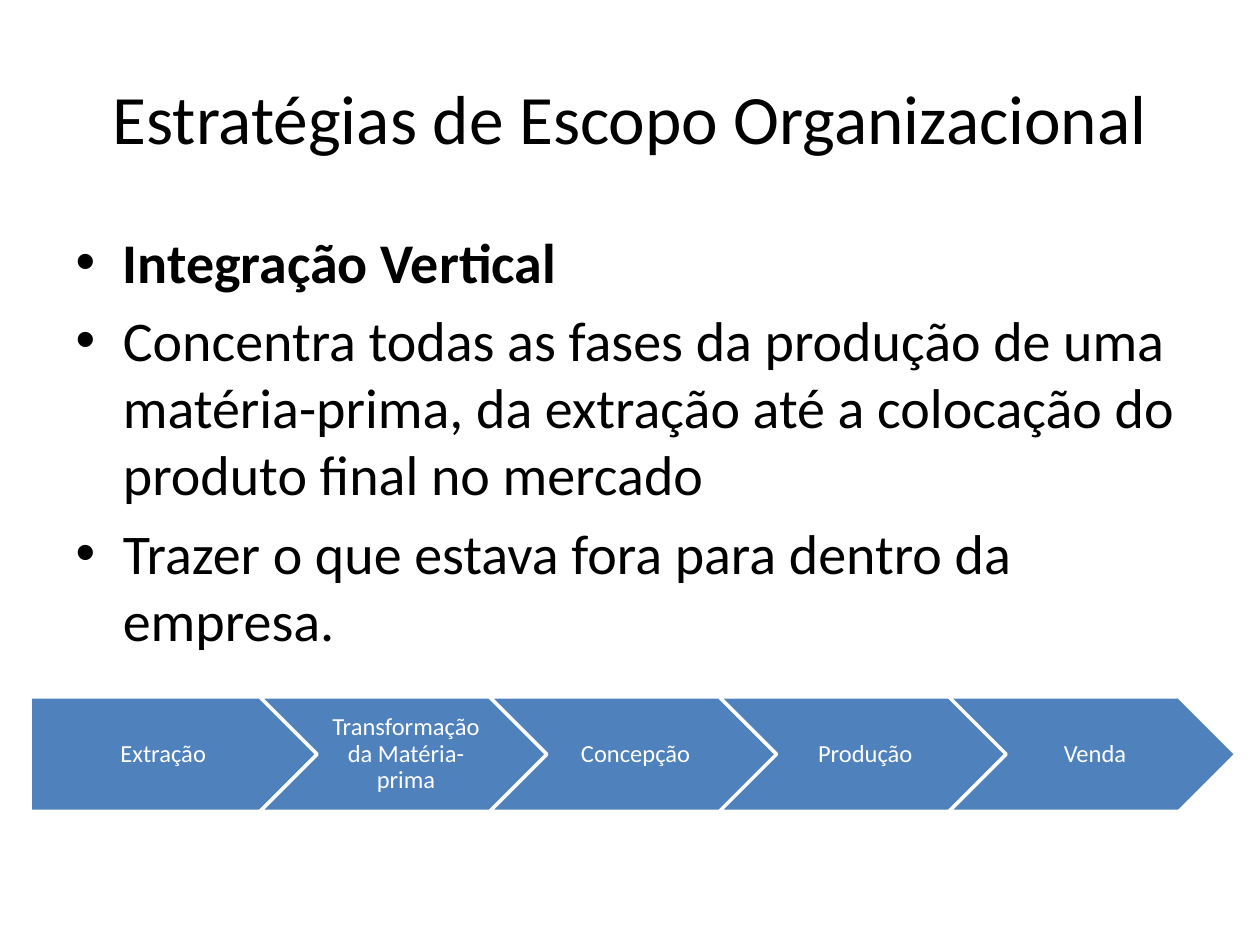
from dataclasses import dataclass

from pptx import Presentation
from pptx.dml.color import RGBColor
from pptx.enum.shapes import MSO_SHAPE
from pptx.enum.text import MSO_ANCHOR, MSO_AUTO_SIZE, PP_ALIGN
from pptx.shapes.group import GroupShape
from pptx.shapes.placeholder import SlidePlaceholder
from pptx.text.text import TextFrame
from pptx.util import Cm, Pt

COLORS = {"text": "000000", "step": "4F81BD", "light": "FFFFFF"}
FONT = "Calibri"

STEP_LEFT, STEP_TOP = 0.61, 14.05
STEP_WIDTH, STEP_HEIGHT = 5.79, 2.31
STEP_PITCH = 4.63


@dataclass(frozen=True)
class Step:
    label: str
    outline: MSO_SHAPE = MSO_SHAPE.CHEVRON
    left_inset: float = 0.15


STEPS = [
    Step("Extração", MSO_SHAPE.PENTAGON, 0.2),
    Step("Transformação da Matéria-prima"),
    Step("Concepção"),
    Step("Produção"),
    Step("Venda"),
]


def write(frame: TextFrame, text: str, *, size: float, color: str = "text",
          bold: bool = False, align: PP_ALIGN | None = None,
          line_spacing: float | None = None, first: bool = True) -> None:
    """Write one formatted paragraph, reusing the frame's own when it is the first."""
    para = frame.paragraphs[0] if first else frame.add_paragraph()
    para.alignment = align
    para.line_spacing = line_spacing
    span = para.add_run()
    span.text = text
    span.font.name = FONT
    span.font.size = Pt(size)
    span.font.bold = bold
    span.font.color.rgb = RGBColor.from_string(COLORS[color])


def place(box: SlidePlaceholder, left: float, top: float,
          width: float, height: float) -> TextFrame:
    box.left, box.top = Cm(left), Cm(top)
    box.width, box.height = Cm(width), Cm(height)
    box.text_frame.auto_size = MSO_AUTO_SIZE.NONE
    return box.text_frame


def draw_step(chain: GroupShape, step: Step, index: int) -> None:
    arrow = chain.shapes.add_shape(
        step.outline, Cm(STEP_LEFT + index * STEP_PITCH), Cm(STEP_TOP),
        Cm(STEP_WIDTH), Cm(STEP_HEIGHT))
    arrow.shadow.inherit = False
    arrow.fill.solid()
    arrow.fill.fore_color.rgb = RGBColor.from_string(COLORS["step"])
    arrow.line.color.rgb = RGBColor.from_string(COLORS["light"])
    arrow.line.width = Pt(2)
    frame = arrow.text_frame
    frame.word_wrap = True
    frame.vertical_anchor = MSO_ANCHOR.MIDDLE
    frame.margin_left, frame.margin_right = Cm(step.left_inset), Cm(0.05)
    frame.margin_top = frame.margin_bottom = Cm(0.1)
    write(frame, step.label, size=14, color="light",
          align=PP_ALIGN.CENTER, line_spacing=0.9)


def main() -> None:
    deck = Presentation()
    deck.slide_width, deck.slide_height = Cm(25.4), Cm(19.05)
    page = deck.slides.add_slide(deck.slide_layouts[1])

    title = place(page.shapes.title, 1.27, 0.76, 22.86, 3.18)
    title.vertical_anchor = MSO_ANCHOR.MIDDLE
    write(title, "Estratégias de Escopo Organizacional", size=39.6,
          align=PP_ALIGN.CENTER)

    body = place(page.placeholders[1], 1.27, 4.45, 22.86, 12.57)
    write(body, "Integração Vertical", size=32, bold=True)
    for text in (
        "Concentra todas as fases da produção de uma matéria-prima, "
        "da extração até a colocação do produto final no mercado",
        "Trazer o que estava fora para dentro da empresa.",
    ):
        write(body, text, size=32, first=False)

    chain = page.shapes.add_group_shape()
    for index, step in enumerate(STEPS):
        draw_step(chain, step, index)

    deck.save("out.pptx")


if __name__ == "__main__":
    main()
